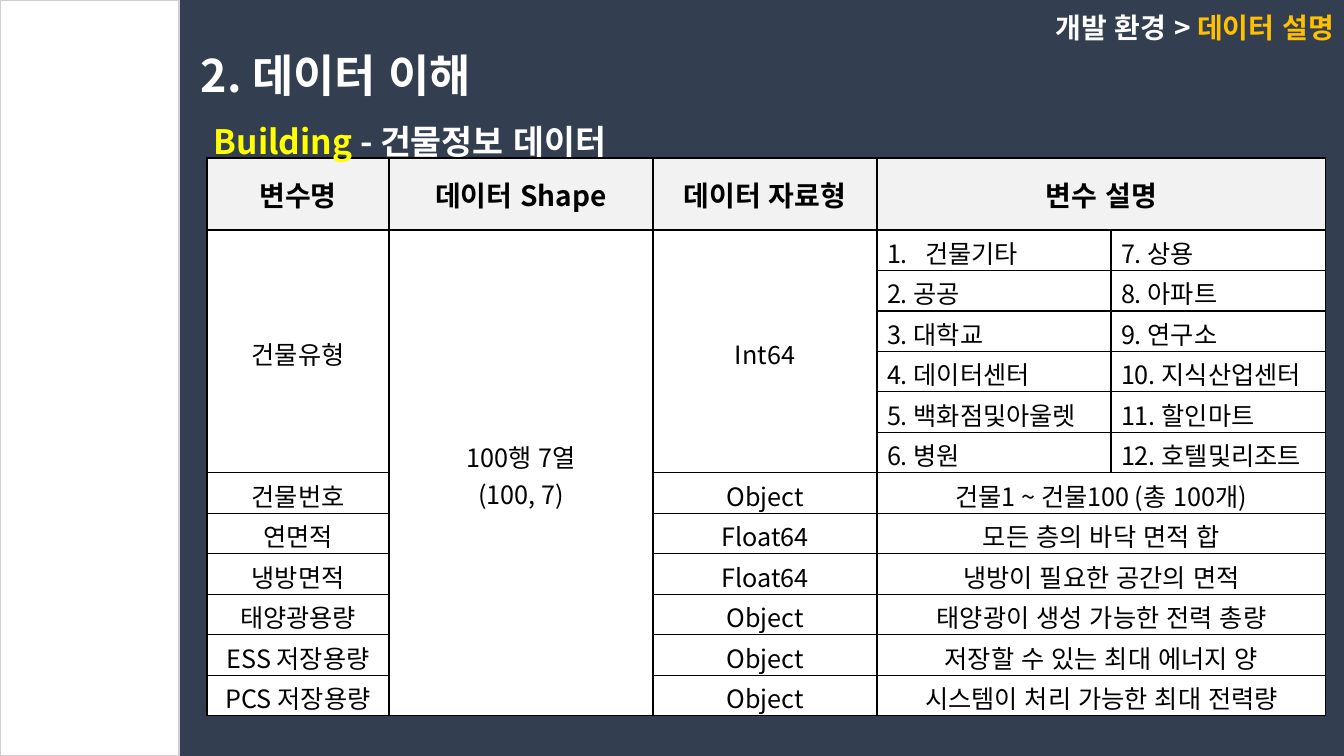
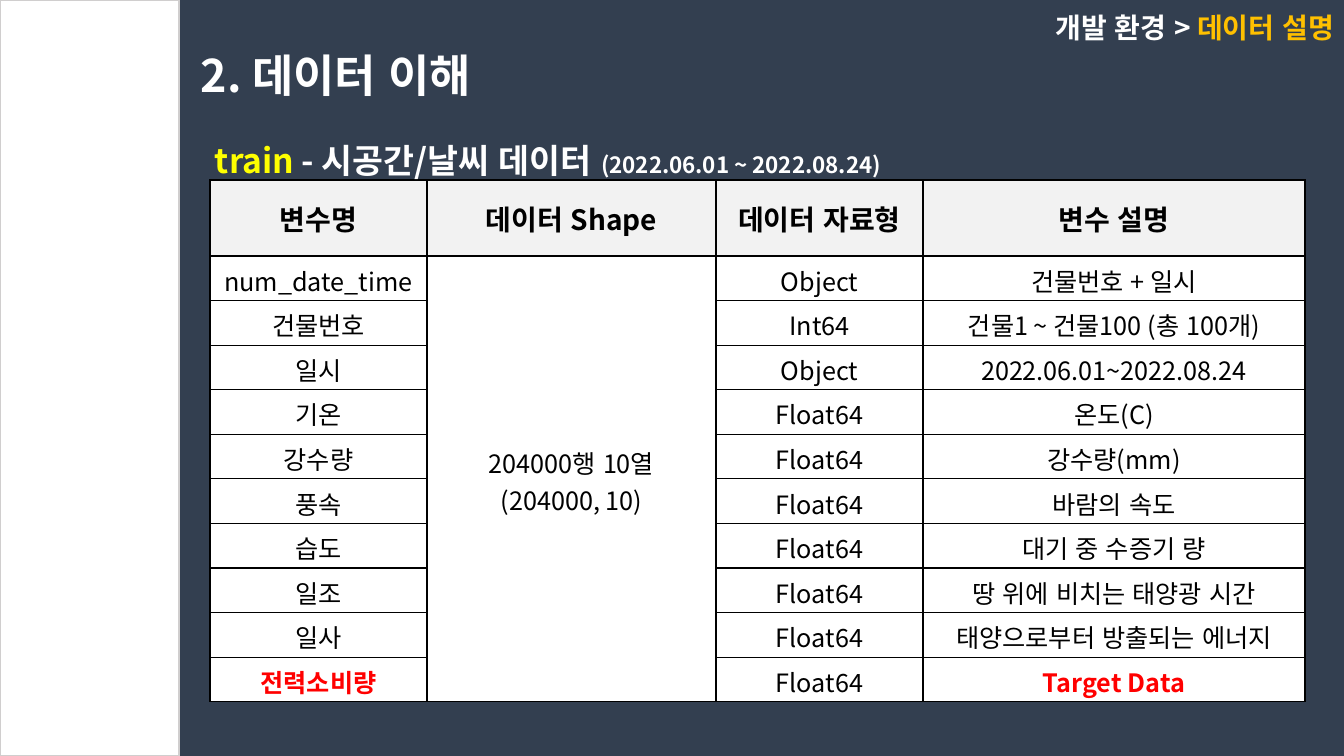
from lxml import etree
from pptx import Presentation
from pptx.dml.color import RGBColor
from pptx.enum.lang import MSO_LANGUAGE_ID
from pptx.enum.shapes import MSO_SHAPE
from pptx.enum.text import MSO_ANCHOR, PP_ALIGN
from pptx.oxml.ns import qn
from pptx.util import Pt

LEFT, CENTER, RIGHT = PP_ALIGN.LEFT, PP_ALIGN.CENTER, PP_ALIGN.RIGHT
TOP, MIDDLE = MSO_ANCHOR.TOP, MSO_ANCHOR.MIDDLE
RECTANGLE = MSO_SHAPE.RECTANGLE
KOREAN = MSO_LANGUAGE_ID.KOREAN
FONT = "Noto Sans CJK KR"
EMU_PER_PX = 914400 / 100.8
COLOURS = {
    "navy": "333F50", "white": "FFFFFF", "grey": "D0CECE", "header": "F2F2F2",
    "black": "000000", "yellow": "FFFF00", "gold": "FFC000", "red": "FF0000",
}


def px(length):
    return round(length * EMU_PER_PX)


def write(frame, lines, size, colour, bold=True, align=LEFT):
    for index, spans in enumerate(lines):
        para = frame.paragraphs[0] if index == 0 else frame.add_paragraph()
        para.alignment = align
        para.font.name = FONT
        para.font.size = Pt(size)
        para.font.bold = bold
        para.font.color.rgb = RGBColor.from_string(COLOURS[colour])
        defaults = para._p.pPr.find(qn("a:defRPr"))
        etree.SubElement(defaults, qn("a:ea"), typeface=FONT)
        for text, span_colour, span_size in spans:
            span = para.add_run()
            span.text = text
            span.font.language_id = KOREAN
            if span_colour:
                span.font.color.rgb = RGBColor.from_string(COLOURS[span_colour])
            if span_size:
                span.font.size = Pt(span_size)


HEADER = ["변수명", "데이터 Shape", "데이터 자료형", "변수 설명"]
BUILDING_TYPES = [
    "건물기타", "공공", "대학교", "데이터센터", "백화점및아울렛", "병원",
    "상용", "아파트", "연구소", "지식산업센터", "할인마트", "호텔및리조트",
]
BUILDING_FIELDS = [
    ("건물번호", "Object", "건물1 ~ 건물100 (총 100개)"),
    ("연면적", "Float64", "모든 층의 바닥 면적 합"),
    ("냉방면적", "Float64", "냉방이 필요한 공간의 면적"),
    ("태양광용량", "Object", "태양광이 생성 가능한 전력 총량"),
    ("ESS 저장용량", "Object", "저장할 수 있는 최대 에너지 양"),
    ("PCS 저장용량", "Object", "시스템이 처리 가능한 최대 전력량"),
]
TRAIN_FIELDS = [
    ("num_date_time", "Object", "건물번호 + 일시"),
    ("건물번호", "Int64", "건물1 ~ 건물100 (총 100개)"),
    ("일시", "Object", "2022.06.01~2022.08.24"),
    ("기온", "Float64", "온도(C)"),
    ("강수량", "Float64", "강수량(mm)"),
    ("풍속", "Float64", "바람의 속도"),
    ("습도", "Float64", "대기 중 수증기 량"),
    ("일조", "Float64", "땅 위에 비치는 태양광 시간"),
    ("일사", "Float64", "태양으로부터 방출되는 에너지"),
    ("전력소비량", "Float64", "Target Data"),
]

building_grid = [HEADER + [""]]
for number in range(1, 7):
    first = BUILDING_TYPES[number - 1]
    building_grid.append([
        "", "", "",
        first if number == 1 else f"{number}. {first}",
        f"{number + 6}. {BUILDING_TYPES[number + 5]}",
    ])
building_grid[1][:3] = ["건물유형", "100행 7열\n(100, 7)", "Int64"]
building_grid += [[name, "", kind, meaning, ""] for name, kind, meaning in BUILDING_FIELDS]

train_grid = [HEADER] + [[name, "", kind, meaning] for name, kind, meaning in TRAIN_FIELDS]
train_grid[1][1] = "204000행 10열\n(204000, 10)"

SLIDES = [
    {
        "subtitle": [("Building", "yellow", None), (" - 건물정보 데이터", None, None)],
        "subtitle_box": (204, 116, 706, 50),
        "grid": building_grid,
        "table_box": (207, 158, 1119, 558),
        "columns": [182, 264, 224, 234, 215],
        "header_height": 72,
        "merges": [(1, 0, 6, 0), (1, 1, 12, 1), (1, 2, 6, 2)]
        + [(row, 3, row, 4) for row in (0, *range(7, 13))],
        "numbered": [(row, column) for row in range(1, 7) for column in (3, 4)],
        "auto_numbered": (1, 3),
        "anchor": MIDDLE,
        "padding": (4, 0),
        "red": [],
    },
    {
        "subtitle": [("train ", "yellow", None), ("- 시공간/날씨 데이터 ", None, None),
                     ("(2022.06.01 ~ 2022.08.24)", None, 16)],
        "subtitle_box": (205, 135, 1001, 50),
        "grid": train_grid,
        "table_box": (210, 180, 1095, 522),
        "columns": [217, 289, 207, 382],
        "header_height": 76,
        "merges": [(1, 1, 10, 1)],
        "numbered": [],
        "auto_numbered": None,
        "anchor": TOP,
        "padding": (6, 2),
        "red": [(10, 0), (10, 3)],
    },
]

deck = Presentation()
deck.slide_width, deck.slide_height = px(1344), px(756)

for content in SLIDES:
    page = deck.slides.add_slide(deck.slide_layouts[6])
    page.background.fill.solid()
    page.background.fill.fore_color.rgb = RGBColor.from_string(COLOURS["navy"])

    band = page.shapes.add_shape(RECTANGLE, 0, 0, px(179), px(756))
    band.shadow.inherit = False
    band.fill.solid()
    band.fill.fore_color.rgb = RGBColor.from_string(COLOURS["white"])
    band.line.color.rgb = RGBColor.from_string(COLOURS["grey"])
    band.line.width = Pt(1)

    grid = content["grid"]
    left, top, width, height = map(px, content["table_box"])
    table = page.shapes.add_table(len(grid), len(grid[0]), left, top, width, height).table
    table.first_row = False
    table.horz_banding = False
    for column, column_width in zip(table.columns, content["columns"]):
        column.width = px(column_width)
    header_height = px(content["header_height"])
    for index, row in enumerate(table.rows):
        row.height = (height - header_height) // (len(grid) - 1) if index else header_height
    for first_row, first_column, last_row, last_column in content["merges"]:
        table.cell(first_row, first_column).merge(table.cell(last_row, last_column))

    for row_index, texts in enumerate(grid):
        for column_index, text in enumerate(texts):
            place = (row_index, column_index)
            cell = table.cell(*place)
            is_header = row_index == 0
            is_red = place in content["red"]
            is_numbered = place in content["numbered"]
            cell.fill.solid()
            cell.fill.fore_color.rgb = RGBColor.from_string(
                COLOURS["header" if is_header else "white"])
            cell.vertical_anchor = MIDDLE if is_header or column_index == 1 else content["anchor"]
            if is_numbered:
                cell.vertical_anchor = TOP
            if not is_header:
                cell.margin_top, cell.margin_bottom = map(px, content["padding"])
            properties = cell._tc.get_or_add_tcPr()
            for index, side in enumerate(("lnL", "lnR", "lnT", "lnB")):
                border = etree.Element(qn(f"a:{side}"), w=str(Pt(1)))
                fill = etree.SubElement(border, qn("a:solidFill"))
                etree.SubElement(fill, qn("a:srgbClr"), val=COLOURS["black"])
                properties.insert(index, border)
            if text:
                write(cell.text_frame, [[(line, None, None)] for line in text.split("\n")],
                      20 if is_header else 18, "red" if is_red else "black",
                      is_header or is_red, LEFT if is_numbered else CENTER)
            if place == content["auto_numbered"]:
                paragraph_properties = cell.text_frame.paragraphs[0]._p.pPr
                paragraph_properties.set("marL", str(px(38)))
                paragraph_properties.set("indent", str(-px(38)))
                numbering = etree.Element(qn("a:buAutoNum"), type="arabicPeriod")
                paragraph_properties.insert(0, numbering)

    for position, spans, size, align in (
        ((811, 6, 533, 44), [(" 개발 환경 > ", None, None), ("데이터 설명", "gold", None)], 20, RIGHT),
        ((191, 43, 368, 64), [("2. 데이터 이해", None, None)], 32, LEFT),
        (content["subtitle_box"], content["subtitle"], 24, LEFT),
    ):
        box = page.shapes.add_textbox(*map(px, position))
        box.text_frame.word_wrap = True
        write(box.text_frame, [spans], size, "white", align=align)

deck.save("out.pptx")
